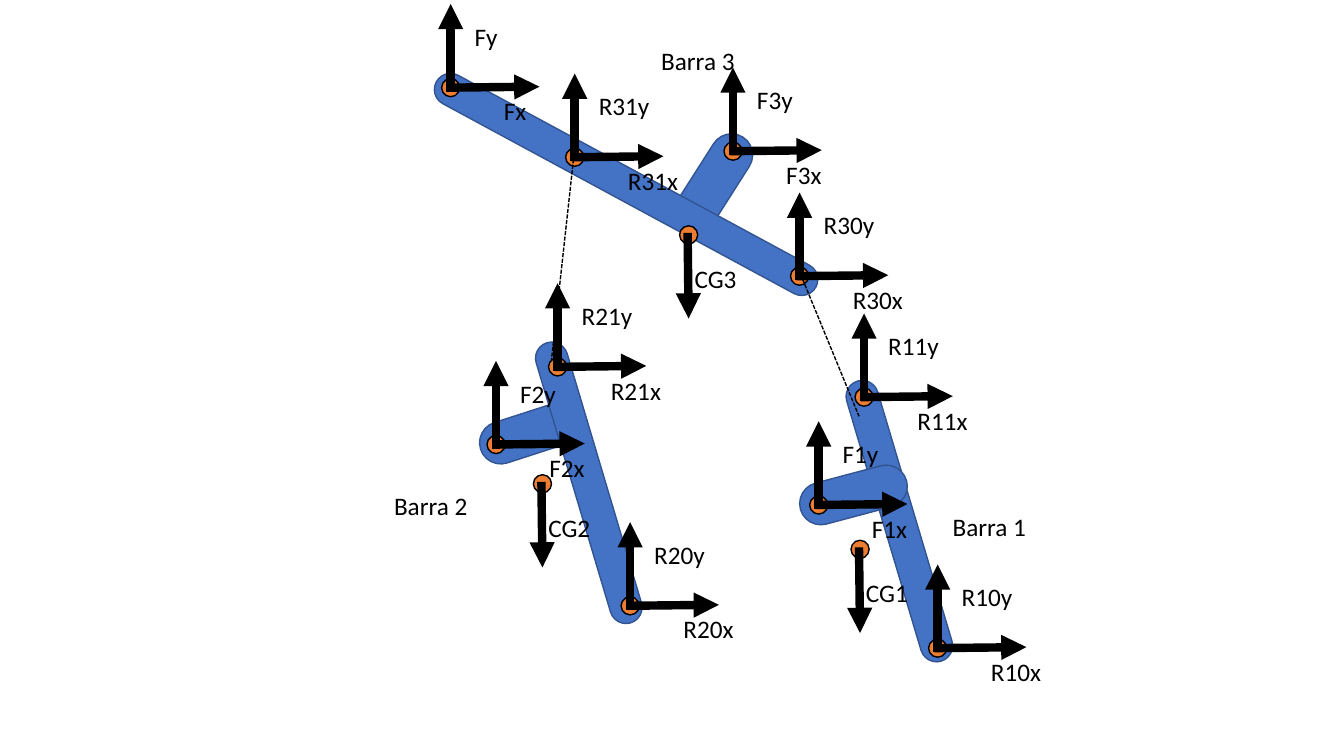
import pptx
from lxml import etree
from pptx.dml.color import RGBColor
from pptx.enum.dml import MSO_LINE
from pptx.enum.shapes import MSO_CONNECTOR, MSO_SHAPE
from pptx.enum.text import MSO_AUTO_SIZE
from pptx.oxml.ns import qn
from pptx.util import Inches, Pt

BLUE = RGBColor(0x44, 0x72, 0xC4)
DARK_BLUE = RGBColor(0x32, 0x54, 0x91)
ORANGE = RGBColor(0xED, 0x7D, 0x31)
BLACK = RGBColor(0, 0, 0)

# left, top, width, height, rotation
BARS = [
    (4.74, 4.08, 1.09, 0.42, 342.1),
    (6.53, 1.61, 1.09, 0.42, 302.5),
    (7.47, 5.01, 2.9, 0.32, 73.4),
    (4.07, 1.67, 4.28, 0.32, 28.4),
    (4.39, 4.63, 2.9, 0.32, 73.4),
    (7.92, 4.7, 1.09, 0.42, 345.1),
]
BAR_NAMES = [("Barra 1", 9.35, 5.02), ("Barra 2", 3.81, 4.82), ("Barra 3", 6.46, 0.4)]

# name, centre x, centre y
FORCES = [
    ("R10", 9.3, 6.43), ("R11", 8.57, 3.94), ("R20", 6.25, 6.01),
    ("R21", 5.53, 3.64), ("R30", 7.93, 2.74), ("R31", 5.7, 1.56),
    ("F", 4.47, 0.87), ("F3", 7.27, 1.5), ("F1", 8.12, 5.01), ("F2", 4.92, 4.41),
]
WEIGHTS = [("CG3", 6.83, 2.33), ("CG2", 5.38, 4.8), ("CG1", 8.53, 5.45)]
JOINTS = [(5.7, 1.47, 5.47, 3.57), (7.94, 2.72, 8.52, 4.13)]

DOT = 0.18
LABEL_H = 0.4
FORCE_LABEL_W = {1: 0.43, 2: 0.56, 3: 0.71}  # by length of the force name


def add_filled(shapes, kind, box, fill, line):
    sp = shapes.add_shape(kind, *map(Inches, box))
    sp.shadow.inherit = False
    sp.fill.solid()
    sp.fill.fore_color.rgb = fill
    sp.line.color.rgb = line
    sp.line.width = Pt(1)
    return sp


def add_line(shapes, x1, y1, x2, y2, width):
    cn = shapes.add_connector(MSO_CONNECTOR.STRAIGHT, *map(Inches, (x1, y1, x2, y2)))
    cn.line.color.rgb = BLACK
    cn.line.width = Pt(width)
    etree.SubElement(cn._element.spPr, qn("a:effectLst"))
    return cn


def add_arrow(shapes, x1, y1, x2, y2):
    ln = add_line(shapes, x1, y1, x2, y2, 6).line._get_or_add_ln()
    etree.SubElement(ln, qn("a:tailEnd"), type="triangle")


def add_label(shapes, text, x, y, w):
    tf = shapes.add_textbox(*map(Inches, (x, y, w, LABEL_H))).text_frame
    tf.word_wrap = False
    tf.auto_size = MSO_AUTO_SIZE.SHAPE_TO_FIT_TEXT
    p = tf.paragraphs[0]
    p.text = text
    p.font.size = Pt(18)
    p.font.name = "Calibri"
    p.font.color.rgb = BLACK


def add_pin(shapes, x, y):
    """Group that starts with an orange dot centred on x, y."""
    group = shapes.add_group_shape().shapes
    box = (x - DOT / 2, y - DOT / 2, DOT, DOT)
    add_filled(group, MSO_SHAPE.OVAL, box, ORANGE, BLACK)
    return group


def add_force(shapes, name, x, y):
    group = add_pin(shapes, x, y)
    add_arrow(group, x - 0.03, y, x + 0.88, y - 0.01)
    add_arrow(group, x, y + 0.04, x, y - 0.83)
    w = FORCE_LABEL_W[len(name)]
    add_label(group, name + "y", x + 0.14, y - 0.71, w)
    add_label(group, name + "x", x + 0.43, y + 0.03, w)


def add_weight(shapes, name, x, y):
    group = add_pin(shapes, x, y)
    add_arrow(group, x - 0.01, y - 0.02, x, y + 0.83)
    add_label(group, name, x - 0.04, y + 0.23, 0.62)


def main():
    prs = pptx.Presentation()
    prs.slide_width, prs.slide_height = Inches(13.33), Inches(7.5)
    s = prs.slides.add_slide(prs.slide_layouts[6])

    for *box, angle in BARS:
        bar = add_filled(s.shapes, MSO_SHAPE.ROUNDED_RECTANGLE, box, BLUE, DARK_BLUE)
        bar.adjustments[0] = 0.5
        bar.rotation = angle
    for name, x, y in BAR_NAMES:
        add_label(s.shapes, name, x, y, 0.94)
    for force in FORCES:
        add_force(s.shapes, *force)
    for weight in WEIGHTS:
        add_weight(s.shapes, *weight)
    for joint in JOINTS:
        add_line(s.shapes, *joint, 1).line.dash_style = MSO_LINE.SQUARE_DOT

    prs.save("out.pptx")


if __name__ == "__main__":
    main()
